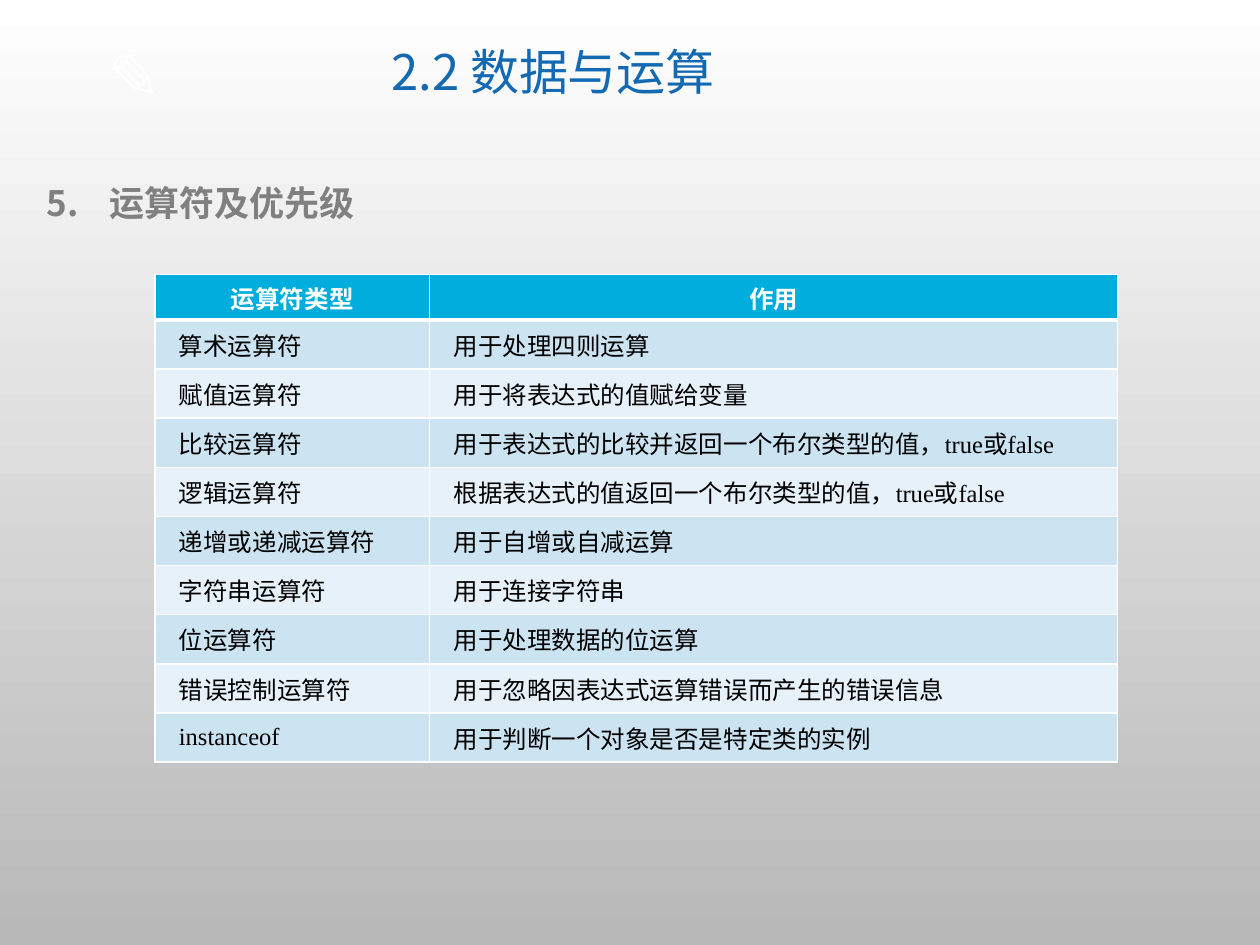
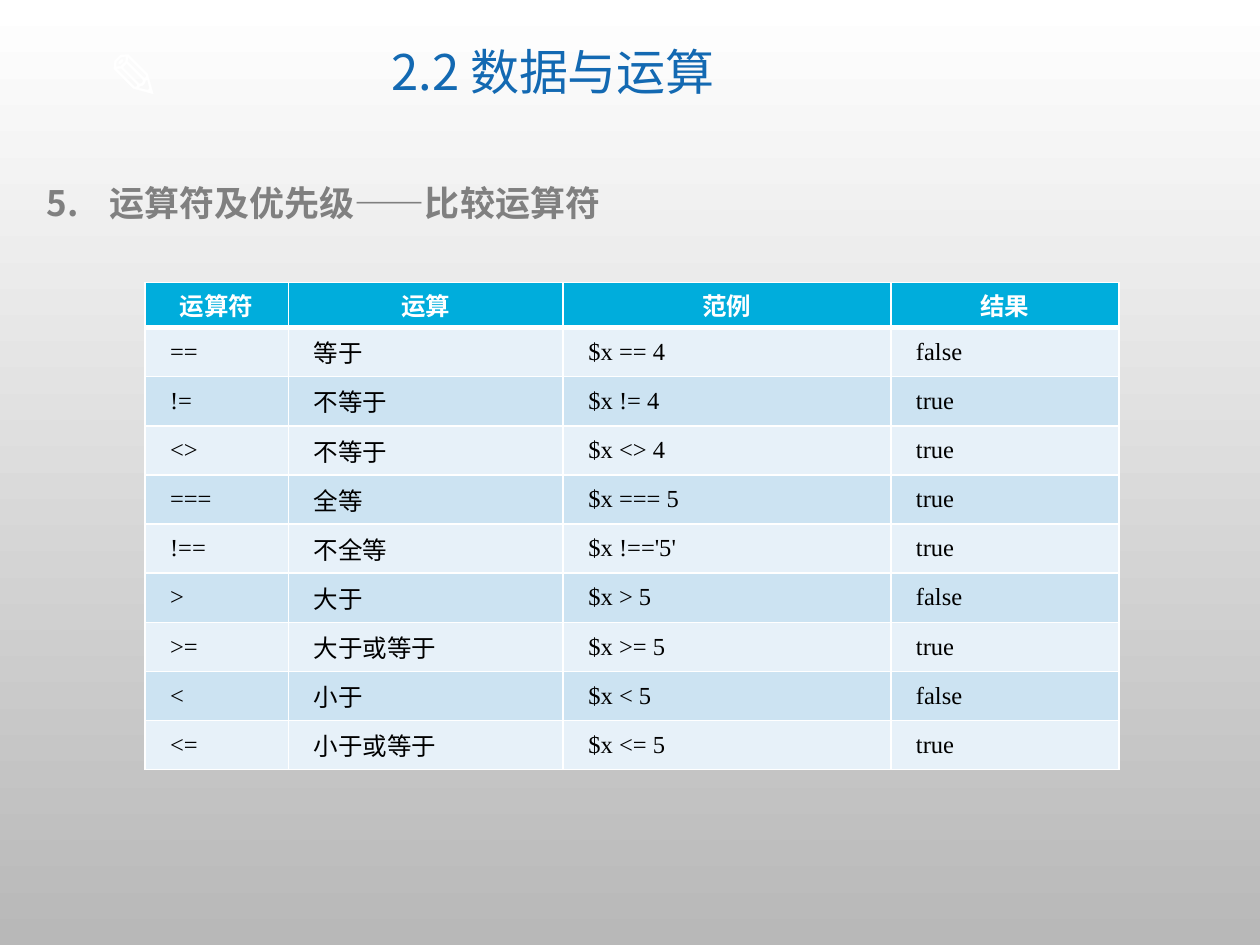
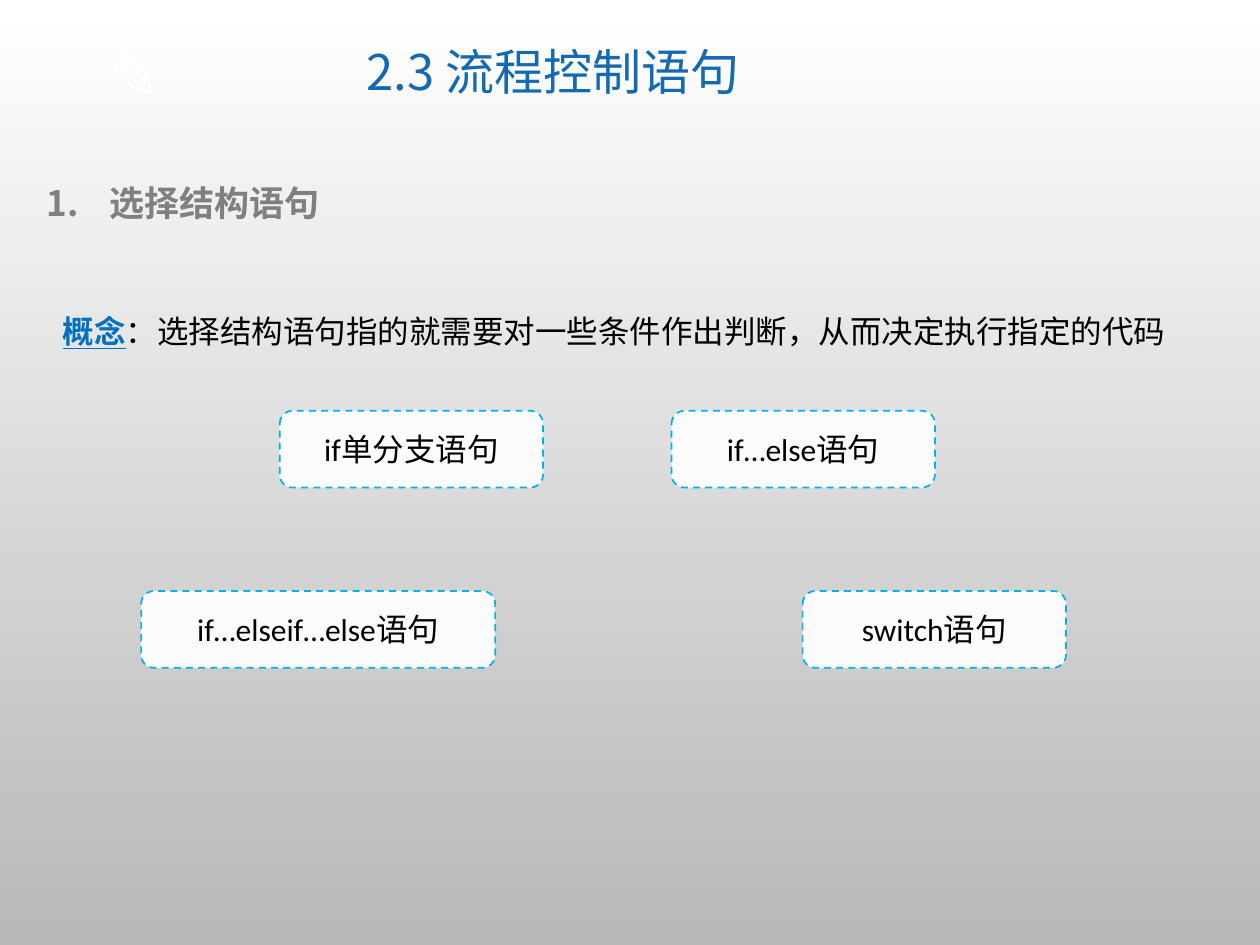
from dataclasses import dataclass

from lxml import etree
from pptx import Presentation
from pptx.dml.color import RGBColor
from pptx.enum.dml import MSO_LINE
from pptx.enum.shapes import MSO_SHAPE
from pptx.enum.text import MSO_ANCHOR, MSO_AUTO_SIZE, PP_ALIGN
from pptx.oxml.ns import qn
from pptx.util import Inches, Pt

WHITE = RGBColor(0xFF, 0xFF, 0xFF)
BLACK = RGBColor(0x00, 0x00, 0x00)
SILVER = RGBColor(0xB8, 0xB8, 0xB8)
GRAY = RGBColor(0x80, 0x80, 0x80)
TITLE_BLUE = RGBColor(0x13, 0x69, 0xB2)
TERM_BLUE = RGBColor(0x00, 0x70, 0xC0)
HEADER_BLUE = RGBColor(0x00, 0xAD, 0xDC)
DARK_BAND = RGBColor(0xCC, 0xE3, 0xF2)
LIGHT_BAND = RGBColor(0xE7, 0xF1, 0xF9)
BOX_FILL = RGBColor(0xFB, 0xFB, 0xFB)
BOX_LINE = RGBColor(0x00, 0xB4, 0xE9)

CHINESE_FONT = "Noto Sans CJK SC"
BODY_FONT = "Calibri"
CELL_FONT = "Times New Roman"
TERM_FONT = "Arial"

CENTER = PP_ALIGN.CENTER
JUSTIFY = PP_ALIGN.JUSTIFY
MIDDLE = MSO_ANCHOR.MIDDLE
GROW = MSO_AUTO_SIZE.SHAPE_TO_FIT_TEXT
DASH = MSO_LINE.DASH
ROUNDED = MSO_SHAPE.ROUNDED_RECTANGLE

HEADER_HEIGHT = 0.36
ROW_HEIGHT = 0.39
BOX_HEIGHT = 0.61


@dataclass(frozen=True)
class TextStyle:
    font: str
    size: int
    color: RGBColor
    bold: bool = False


@dataclass(frozen=True)
class OperatorTable:
    left: float
    top: float
    widths: list[float]
    inset: float
    bands: tuple[RGBColor, RGBColor]
    rows: list[tuple[str, ...]]


@dataclass(frozen=True)
class StatementBox:
    text: str
    left: float
    top: float
    width: float = 2.09


PENCIL_STYLE = TextStyle(CHINESE_FONT, 36, WHITE, True)
TITLE_STYLE = TextStyle(CHINESE_FONT, 28, TITLE_BLUE)
HEADING_STYLE = TextStyle(CHINESE_FONT, 20, GRAY, True)
CONCEPT_STYLE = TextStyle(TERM_FONT, 18, BLACK)
BOX_STYLE = TextStyle(BODY_FONT, 18, BLACK)
HEADER_STYLE = TextStyle(BODY_FONT, 14, WHITE, True)
CELL_STYLE = TextStyle(CELL_FONT, 14, BLACK)

OPERATOR_TYPES = OperatorTable(
    1.23, 2.18, [2.18, 5.46], 0.07, (DARK_BAND, LIGHT_BAND),
    [
        ("运算符类型", "作用"),
        ("算术运算符", "用于处理四则运算"),
        ("赋值运算符", "用于将表达式的值赋给变量"),
        ("比较运算符", "用于表达式的比较并返回一个布尔类型的值，true或false"),
        ("逻辑运算符", "根据表达式的值返回一个布尔类型的值，true或false"),
        ("递增或递减运算符", "用于自增或自减运算"),
        ("字符串运算符", "用于连接字符串"),
        ("位运算符", "用于处理数据的位运算"),
        ("错误控制运算符", "用于忽略因表达式运算错误而产生的错误信息"),
        ("instanceof", "用于判断一个对象是否是特定类的实例"),
    ],
)

COMPARISONS = OperatorTable(
    1.15, 2.24, [1.14, 2.18, 2.6, 1.81], 0.08, (LIGHT_BAND, DARK_BAND),
    [
        ("运算符", "运算", "范例", "结果"),
        ("==", "等于", "$x == 4", "false"),
        ("!=", "不等于", "$x != 4", "true"),
        ("<>", "不等于", "$x <> 4", "true"),
        ("===", "全等", "$x === 5", "true"),
        ("!==", "不全等", "$x !=='5'", "true"),
        (">", "大于", "$x > 5", "false"),
        (">=", "大于或等于", "$x >= 5", "true"),
        ("<", "小于", "$x < 5", "false"),
        ("<=", "小于或等于", "$x <= 5", "true"),
    ],
)

STATEMENTS = [
    StatementBox("if…elseif…else语句", 1.12, 4.69, 2.81),
    StatementBox("if单分支语句", 2.22, 3.26),
    StatementBox("if…else语句", 5.33, 3.26),
    StatementBox("switch语句", 6.37, 4.69),
]


def style_paragraph(para, style: TextStyle, align=None) -> None:
    para.alignment = align
    para.font.name = style.font
    para.font.size = Pt(style.size)
    para.font.bold = style.bold
    para.font.color.rgb = style.color
    defaults = para._p.get_or_add_pPr().find(qn("a:defRPr"))
    east_asian = etree.SubElement(defaults, qn("a:ea"))
    east_asian.set("typeface", CHINESE_FONT)


def add_text(page, text: str, left: float, top: float, width: float, height: float,
             style: TextStyle, align=None):
    box = page.shapes.add_textbox(Inches(left), Inches(top), Inches(width), Inches(height))
    box.text_frame.word_wrap = True
    para = box.text_frame.paragraphs[0]
    para.text = text
    style_paragraph(para, style, align)
    return box.text_frame


def add_page(deck, title: str, number: int, heading: str):
    page = deck.slides.add_slide(deck.slide_layouts[6])
    pencil = add_text(page, "✎", 0.76, 0.24, 0.86, 0.71, PENCIL_STYLE)
    pencil.word_wrap = False
    pencil.auto_size = GROW

    title_frame = add_text(page, title, 1.81, 0.17, 5.16, 0.85, TITLE_STYLE, CENTER)
    title_frame.vertical_anchor = MIDDLE
    title_frame.paragraphs[0].line_spacing = 0.9

    heading_frame = add_text(page, heading, 0.27, 1.39, 9.22, 0.44, HEADING_STYLE)
    heading_frame.auto_size = GROW
    properties = heading_frame.paragraphs[0]._p.get_or_add_pPr()
    properties.set("marL", str(Inches(0.5)))
    properties.set("indent", str(Inches(-0.5)))
    numbering = etree.Element(qn("a:buAutoNum"), type="arabicPeriod", startAt=str(number))
    properties.insert(0, numbering)
    return page


def set_borders(cell, top: int, bottom: int) -> None:
    properties = cell._tc.get_or_add_tcPr()
    for index, (side, width) in enumerate([("L", 1), ("R", 1), ("T", top), ("B", bottom)]):
        line = etree.Element(qn(f"a:ln{side}"), w=str(Pt(width)))
        fill = etree.SubElement(line, qn("a:solidFill"))
        etree.SubElement(fill, qn("a:srgbClr"), val=str(WHITE))
        properties.insert(index, line)


def add_operator_table(page, data: OperatorTable) -> None:
    heights = [HEADER_HEIGHT] + [ROW_HEIGHT] * (len(data.rows) - 1)
    table = page.shapes.add_table(
        len(data.rows), len(data.widths), Inches(data.left), Inches(data.top),
        Inches(sum(data.widths)), Inches(sum(heights)),
    ).table
    table.horz_banding = False
    for column, width in zip(table.columns, data.widths):
        column.width = Inches(width)
    for row_index, (row, height, texts) in enumerate(zip(table.rows, heights, data.rows)):
        row.height = Inches(height)
        is_header = row_index == 0
        for cell, text in zip(row.cells, texts):
            cell.text = text
            cell.vertical_anchor = MIDDLE
            cell.margin_left = cell.margin_right = Inches(data.inset)
            cell.margin_top = cell.margin_bottom = 0
            cell.fill.solid()
            cell.fill.fore_color.rgb = HEADER_BLUE if is_header else data.bands[(row_index - 1) % 2]
            para = cell.text_frame.paragraphs[0]
            if is_header:
                style_paragraph(para, HEADER_STYLE, CENTER)
            else:
                style_paragraph(para, CELL_STYLE, JUSTIFY)
                para._p.get_or_add_pPr().set("marL", str(Inches(0.12)))
            set_borders(cell, 3 if row_index == 1 else 1, 3 if is_header else 1)


def add_concept(page, term: str, definition: str) -> None:
    frame = add_text(page, term, 0.4, 2.13, 9.19, 0.71, CONCEPT_STYLE)
    frame.auto_size = GROW
    para = frame.paragraphs[0]
    para.line_spacing = 2.0
    span = para.runs[0]
    span.font.bold = True
    span.font.underline = True
    span.font.color.rgb = TERM_BLUE
    para.add_run().text = definition


def add_statement(page, statement: StatementBox) -> None:
    box = page.shapes.add_shape(
        ROUNDED, Inches(statement.left), Inches(statement.top),
        Inches(statement.width), Inches(BOX_HEIGHT),
    )
    box.shadow.inherit = False
    box.fill.solid()
    box.fill.fore_color.rgb = BOX_FILL
    box.line.color.rgb = BOX_LINE
    box.line.width = Pt(1)
    box.line.dash_style = DASH
    box.text_frame.vertical_anchor = MIDDLE
    para = box.text_frame.paragraphs[0]
    para.text = statement.text
    style_paragraph(para, BOX_STYLE, CENTER)


def set_background(deck) -> None:
    fill = deck.slide_master.background.fill
    fill.gradient()
    fill.gradient_angle = 270
    for stop, position, color in zip(fill.gradient_stops, (0, 1), (WHITE, SILVER)):
        stop.position = position
        stop.color.rgb = color


def main() -> None:
    deck = Presentation()
    deck.slide_width = Inches(10)
    deck.slide_height = Inches(7.5)
    set_background(deck)

    page = add_page(deck, "2.2 数据与运算", 5, "运算符及优先级")
    add_operator_table(page, OPERATOR_TYPES)

    page = add_page(deck, "2.2 数据与运算", 5, "运算符及优先级——比较运算符")
    add_operator_table(page, COMPARISONS)

    page = add_page(deck, "2.3 流程控制语句", 1, "选择结构语句")
    add_concept(page, "概念", "：选择结构语句指的就需要对一些条件作出判断，从而决定执行指定的代码")
    for statement in STATEMENTS:
        add_statement(page, statement)

    deck.save("out.pptx")


if __name__ == "__main__":
    main()
